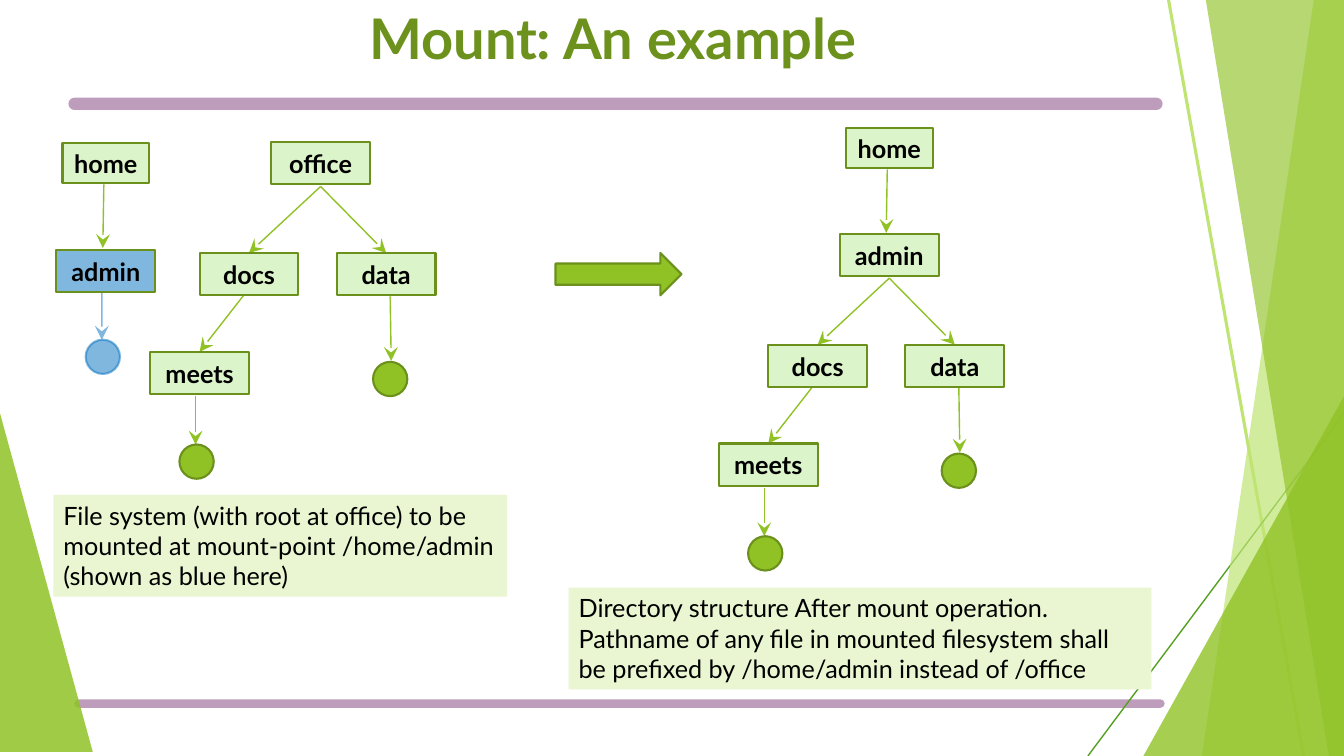
from lxml.etree import SubElement
from pptx import Presentation
from pptx.dml.color import RGBColor
from pptx.enum.shapes import MSO_CONNECTOR, MSO_SHAPE
from pptx.enum.text import MSO_ANCHOR, PP_ALIGN
from pptx.oxml.ns import qn
from pptx.util import Inches, Pt

GREEN, DARK, PALE, BLUE = "90C226", "6B901C", "DBF4CA", "0070C0"
LIME, PURPLE, NOTE = "C0E474", "7C3A7A", "EAF6D1"


def paint(fill, color, alpha=100, owner=None):
    fill.solid()
    fill.fore_color.rgb = RGBColor.from_string(color)
    if alpha < 100:
        node = owner.find(".//" + qn("a:srgbClr"))
        SubElement(node, qn("a:alpha"), val=str(alpha * 1000))


def write(shape, text, size=18, color="000000", bold=False,
          align=PP_ALIGN.CENTER, anchor=MSO_ANCHOR.MIDDLE):
    frame = shape.text_frame
    frame.word_wrap = True
    frame.vertical_anchor = anchor
    para = frame.paragraphs[0]
    para.alignment = align
    span = para.add_run()
    span.text = text
    span.font.name = "Lato"
    span.font.size = Pt(size)
    span.font.bold = bold
    paint(span.font.fill, color)


deck = Presentation()
deck.slide_width, deck.slide_height = Inches(13.33), Inches(7.5)
page = deck.slides.add_slide(deck.slide_layouts[5])
shapes = page.shapes

title = shapes.title
title.left, title.top = Inches(0.74), Inches(-0.02)
title.width, title.height = Inches(10.68), Inches(0.93)
write(title, "Mount: An example", size=40, color="6C921D", bold=True, anchor=MSO_ANCHOR.TOP)

lines = [
    (11.47, 1.03, 0.74, 1.03, PURPLE, 8.75, 50, "bar"),
    (11.51, 6.98, 0.78, 6.98, PURPLE, 6, 50, "bar"),
    (11.59, 0, 12.93, 7.5, LIME, 2.25, 100, "plain"),
    (13.33, 4.1, 10.79, 7.5, "54A021", 1, 100, "plain"),
    (1.03, 1.83, 1.02, 2.46, GREEN, 1, 100, "arrow"),
    (1.01, 2.9, 1.01, 3.37, BLUE, 1, 50, "arrow"),
    (8.8, 1.68, 8.79, 2.31, GREEN, 1, 100, "arrow"),
]
nodes = [
    ("home", 0.62, 1.42, 0.86, 0.4, PALE, 100),
    ("admin", 0.56, 2.48, 0.98, 0.42, BLUE, 50),
    ("home", 8.39, 1.27, 0.86, 0.4, PALE, 100),
]
files = [(0.85, 3.37, BLUE, BLUE, 50)]

for root, dx, dy in [("office", 0, 0), ("admin", 5.64, 0.91)]:
    for name, x, y in [(root, 2.69, 1.41), ("docs", 1.98, 2.51),
                       ("data", 3.34, 2.51), ("meets", 1.49, 3.49)]:
        nodes.append((name, x + dx, y + dy, 0.98, 0.42, PALE, 100))
    for x, y in [(1.78, 4.41), (3.7, 3.59)]:
        files.append((x + dx, y + dy, GREEN, DARK, 100))
    for x1, y1, x2, y2 in [(3.18, 1.85, 2.47, 2.51), (3.18, 1.85, 3.83, 2.51),
                           (2.44, 2.9, 1.98, 3.49), (1.94, 3.93, 1.94, 4.41),
                           (3.87, 2.94, 3.88, 3.58)]:
        lines.append((x1 + dx, y1 + dy, x2 + dx, y2 + dy, GREEN, 1, 100, "arrow"))

for x1, y1, x2, y2, color, width, alpha, style in lines:
    line = shapes.add_connector(MSO_CONNECTOR.STRAIGHT, Inches(x1), Inches(y1),
                                Inches(x2), Inches(y2))
    line.line.width = Pt(width)
    outline = line.element.spPr.find(qn("a:ln"))
    paint(line.line.fill, color, alpha, outline)
    if style == "bar":
        outline.set("cap", "rnd")
    if style == "arrow":
        SubElement(outline, qn("a:tailEnd"), type="stealth", w="lg", len="lg")
    SubElement(line.element.spPr, qn("a:effectLst"))

for color, alpha, corners in [
    (LIME, 70, [(13.03, 0), (13.33, 0), (13.33, 7.5), (11.92, 7.5)]),
    (GREEN, 65, [(11.96, 0), (13.33, 0), (13.33, 7.5), (13.18, 7.5)]),
    (GREEN, 80, [(13.33, 3.93), (13.33, 7.5), (11.34, 7.5)]),
    (GREEN, 85, [(0, 4.1), (0.92, 7.46), (0, 7.46)]),
]:
    points = [(Inches(x), Inches(y)) for x, y in corners]
    builder = shapes.build_freeform(*points[0])
    builder.add_line_segments(points[1:])
    facet = builder.convert_to_shape()
    facet.shadow.inherit = False
    paint(facet.fill, color, alpha, facet.element.spPr)
    facet.line.fill.background()

blocks = [(MSO_SHAPE.RECTANGLE, x, y, w, h, fill, DARK, alpha, 100, name)
          for name, x, y, w, h, fill, alpha in nodes]
blocks += [(MSO_SHAPE.OVAL, x, y, 0.34, 0.34, fill, edge, alpha, alpha, "")
           for x, y, fill, edge, alpha in files]
blocks.append((MSO_SHAPE.RIGHT_ARROW, 5.51, 2.51, 1.25, 0.42, GREEN, DARK, 100, 100, ""))

for kind, x, y, w, h, fill, edge, alpha, edge_alpha, name in blocks:
    block = shapes.add_shape(kind, Inches(x), Inches(y), Inches(w), Inches(h))
    block.shadow.inherit = False
    paint(block.fill, fill, alpha, block.element.spPr)
    block.line.width = Pt(1.5)
    paint(block.line.fill, edge, edge_alpha, block.element.spPr.find(qn("a:ln")))
    if name:
        write(block, name, bold=True)

for x, y, width, text in [
    (0.53, 4.91, 4.5, "File system (with root at office) to be mounted at "
                      "mount-point /home/admin (shown as blue here)"),
    (5.64, 5.83, 5.78, "Directory structure After mount operation. Pathname of any file in "
                       "mounted filesystem shall be prefixed by /home/admin instead of /office"),
]:
    box = shapes.add_textbox(Inches(x), Inches(y), Inches(width), Inches(1.01))
    paint(box.fill, NOTE)
    write(box, text, align=PP_ALIGN.LEFT, anchor=MSO_ANCHOR.TOP)

deck.save("out.pptx")
